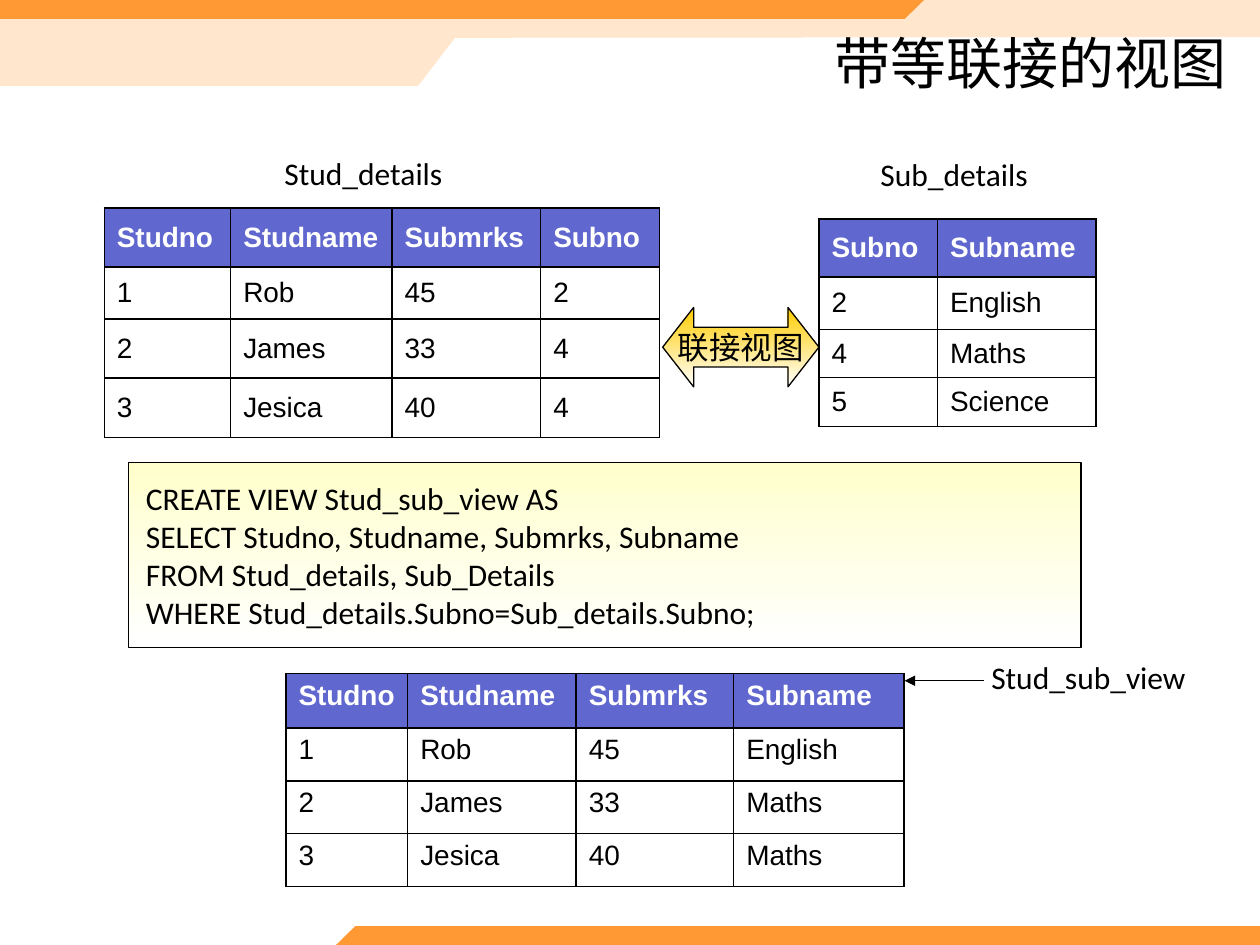
from pptx import Presentation
from pptx.dml.color import RGBColor
from pptx.enum.shapes import MSO_CONNECTOR, MSO_SHAPE
from pptx.enum.text import MSO_ANCHOR, MSO_AUTO_SIZE, PP_ALIGN
from pptx.oxml import parse_xml
from pptx.oxml.ns import nsdecls
from pptx.util import Pt

TITLE = "带等联接的视图"
BANDS = [
    ("FFE6CD", [(720, 0), (0, 0), (0, 49), (239, 49), (260, 21.6), (720, 21.2)]),
    ("FF9933", [(528, 0), (517, 10.8), (0, 10.8), (0, 0)]),
    ("FF9933", [(192, 540), (203, 529.2), (720, 529.2), (720, 540)]),
]
TABLES = [
    dict(at=(59.6, 118.9), cols=(72.2, 92.2, 85, 68), heights=(33.7, 29.7, 33.8, 34),
         anchor=MSO_ANCHOR.MIDDLE,
         rows=[("Studno", "Studname", "Submrks", "Subno"),
               ("1", "Rob", "45", "2"),
               ("2", "James", "33", "4"),
               ("3", "Jesica", "40", "4")]),
    dict(at=(468, 125.2), cols=(67.7, 90.7), heights=(33, 30.2, 27.4, 28),
         anchor=MSO_ANCHOR.MIDDLE,
         rows=[("Subno", "Subname"), ("2", "English"), ("4", "Maths"), ("5", "Science")]),
    dict(at=(163.4, 385), cols=(69.6, 96.3, 90, 97.2), heights=(31, 30.2, 30.2, 30.2),
         anchor=MSO_ANCHOR.TOP,
         rows=[("Studno", "Studname", "Submrks", "Subname"),
               ("1", "Rob", "45", "English"),
               ("2", "James", "33", "Maths"),
               ("3", "Jesica", "40", "Maths")]),
]
LABELS = [
    ("Stud_details", 155.5, 84.2, 124.6),
    ("Sub_details", 496, 85, 124.6),
    ("Stud_sub_view", 559.4, 372.2, 141),
]
QUERY = [
    "CREATE VIEW Stud_sub_view AS",
    "SELECT Studno, Studname, Submrks, Subname",
    "FROM Stud_details, Sub_Details",
    "WHERE Stud_details.Subno=Sub_details.Subno;",
]
JOIN = "联接视图"


def rgb(color):
    return RGBColor.from_string(color)


def style(p, size=18, font="Calibri", color="000000", bold=False, align=PP_ALIGN.LEFT):
    p.alignment = align
    p.font.size, p.font.name, p.font.bold = Pt(size), font, bold
    p.font.color.rgb = rgb(color)


def add_band(s, color, points):
    points = [(Pt(x), Pt(y)) for x, y in points]
    builder = s.shapes.build_freeform(*points[0])
    builder.add_line_segments(points[1:], close=True)
    sp = builder.convert_to_shape()
    sp.shadow.inherit = False
    sp.fill.solid()
    sp.fill.fore_color.rgb = rgb(color)
    sp.line.fill.background()


def add_borders(cell):
    tcPr = cell._tc.get_or_add_tcPr()
    for side in "LRTB":
        tcPr.append(parse_xml(
            f'<a:ln{side} {nsdecls("a")} w="12700"><a:solidFill>'
            f'<a:srgbClr val="000000"/></a:solidFill></a:ln{side}>'))


def add_grid(s, at, cols, heights, anchor, rows):
    x, y = at
    table = s.shapes.add_table(len(rows), len(cols), Pt(x), Pt(y),
                               Pt(sum(cols)), Pt(sum(heights))).table
    table.first_row = table.horz_banding = False
    for column, width in zip(table.columns, cols):
        column.width = Pt(width)
    for i, (row, height) in enumerate(zip(table.rows, heights)):
        row.height = Pt(height)
        header = i == 0
        for cell, text in zip(row.cells, rows[i]):
            cell.text = text
            cell.vertical_anchor = anchor
            add_borders(cell)
            if header:
                cell.fill.solid()
                cell.fill.fore_color.rgb = rgb("6067CE")
            else:
                cell.fill.background()
            style(cell.text_frame.paragraphs[0], 16, "Arial",
                  "FFFFFF" if header else "000000", header)


def add_label(s, text, x, y, width):
    tf = s.shapes.add_textbox(Pt(x), Pt(y), Pt(width), Pt(29)).text_frame
    tf.word_wrap = True
    tf.auto_size = MSO_AUTO_SIZE.SHAPE_TO_FIT_TEXT
    tf.text = text
    style(tf.paragraphs[0])


def add_gradient_shape(s, kind, x, y, w, h, top, lines, align=PP_ALIGN.LEFT):
    sp = s.shapes.add_shape(kind, Pt(x), Pt(y), Pt(w), Pt(h))
    sp.shadow.inherit = False
    sp.fill.gradient()
    sp.fill.gradient_angle = 270
    for stop, color in zip(sp.fill.gradient_stops, (top, "FFFFFF")):
        stop.color.rgb = rgb(color)
    sp.line.color.rgb = rgb("000000")
    sp.line.width = Pt(0.75)
    tf = sp.text_frame
    tf.vertical_anchor = MSO_ANCHOR.MIDDLE
    tf.text = "\n".join(lines)
    for p in tf.paragraphs:
        style(p, align=align)
    return sp


def add_arrow(s, x1, y1, x2, y2):
    line = s.shapes.add_connector(MSO_CONNECTOR.STRAIGHT, Pt(x1), Pt(y1), Pt(x2), Pt(y2))
    line.line.color.rgb = rgb("000000")
    line.line.width = Pt(0.75)
    line.line._get_or_add_ln().append(
        parse_xml(f'<a:tailEnd {nsdecls("a")} type="triangle"/>'))
    line._element.spPr.append(parse_xml(f'<a:effectLst {nsdecls("a")}/>'))


def main():
    """Build the slide on a view that joins two tables."""
    prs = Presentation()
    prs.slide_width, prs.slide_height = Pt(720), Pt(540)
    s = prs.slides.add_slide(prs.slide_layouts[5])

    for color, points in BANDS:
        add_band(s, color, points)

    title = s.shapes.title
    s.shapes._spTree.append(title._element)
    title.left, title.top, title.width, title.height = Pt(434), Pt(20.2), Pt(274.5), Pt(30.2)
    tf = title.text_frame
    tf.text = TITLE
    tf.auto_size = MSO_AUTO_SIZE.NONE
    tf.vertical_anchor = MSO_ANCHOR.MIDDLE
    style(tf.paragraphs[0], 32, align=PP_ALIGN.RIGHT)

    for table in TABLES:
        add_grid(s, **table)
    for label in LABELS:
        add_label(s, *label)

    box = add_gradient_shape(s, MSO_SHAPE.RECTANGLE, 73.4, 264.2, 544.3, 106, "FFFFCC", QUERY)
    tf = box.text_frame
    tf.margin_left = tf.margin_right = Pt(10)
    tf.margin_top = tf.margin_bottom = Pt(9.4)
    tf.auto_size = MSO_AUTO_SIZE.SHAPE_TO_FIT_TEXT

    join = add_gradient_shape(s, MSO_SHAPE.LEFT_RIGHT_ARROW, 378.7, 175.7, 89.3, 45.4,
                              "FFCC00", [JOIN], PP_ALIGN.CENTER)
    join.adjustments[0], join.adjustments[1] = 0.5, 0.39
    join.text_frame.word_wrap = False

    add_arrow(s, 562.3, 389, 517, 389)
    prs.save("out.pptx")


if __name__ == "__main__":
    main()
